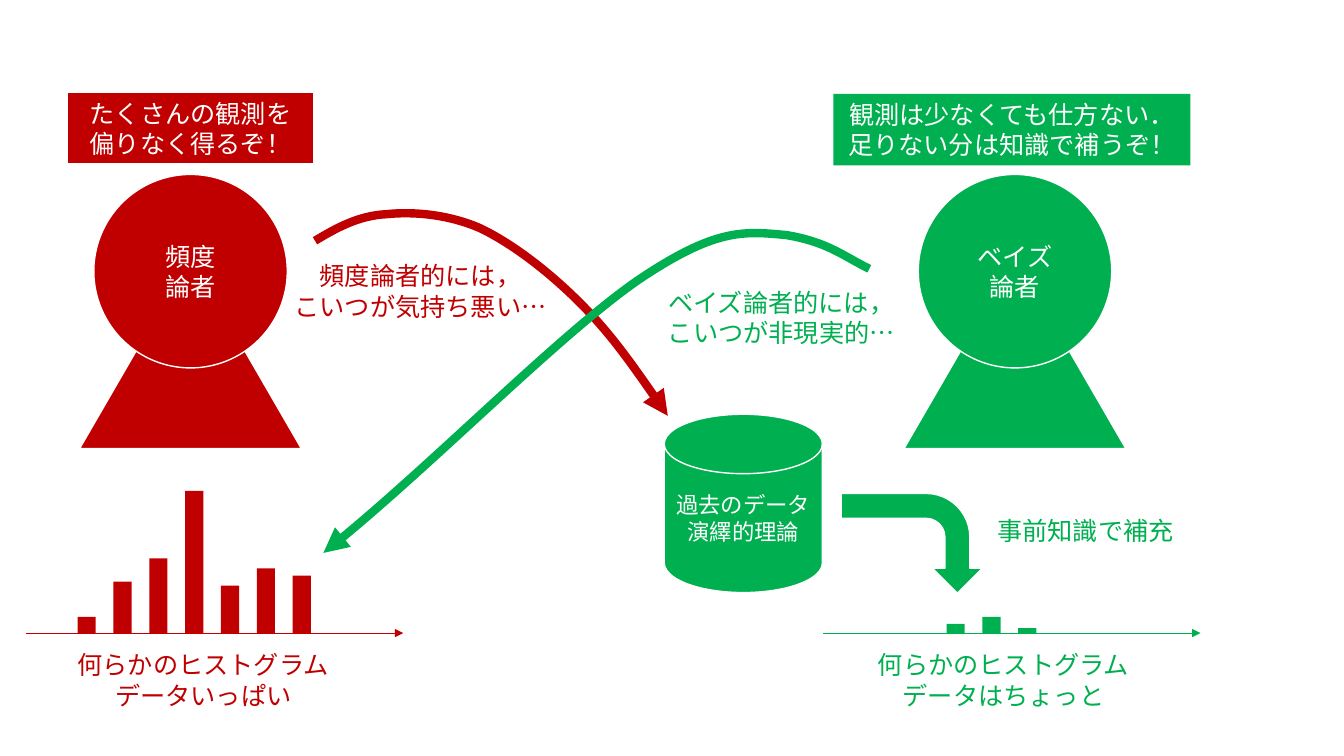
from pptx import Presentation
from pptx.dml.color import RGBColor
from pptx.enum.shapes import MSO_CONNECTOR, MSO_SHAPE as SHAPE
from pptx.enum.text import MSO_ANCHOR, PP_ALIGN
from pptx.oxml.ns import qn
from pptx.util import Pt
from lxml.etree import SubElement

FONT = "Noto Sans CJK JP"
RED, GREEN, WHITE = "C00000", "00B050", "FFFFFF"


def rgb(color):
    """Turn a hex string into a colour."""
    return RGBColor.from_string(color)


def write(shape, text, color, size=18):
    """Put centred lines of text in a shape."""
    tf = shape.text_frame
    tf.text = text
    tf.word_wrap = True
    tf.vertical_anchor = MSO_ANCHOR.MIDDLE
    for p in tf.paragraphs:
        p.alignment = PP_ALIGN.CENTER
        for r in p.runs:
            r.font.name, r.font.size = FONT, Pt(size)
            r.font.color.rgb = rgb(color)
            SubElement(r.font._element, qn("a:ea"), typeface=FONT)


def solid(shapes, kind, box, color, line=None):
    """Add a filled preset shape, outlined when a line colour is given."""
    sp = shapes.add_shape(kind, *map(Pt, box))
    sp.shadow.inherit = False
    sp.fill.solid()
    sp.fill.fore_color.rgb = rgb(color)
    if line:
        sp.line.color.rgb, sp.line.width = rgb(line), Pt(1)
    else:
        sp.line.fill.background()
    return sp


def label(s, box, text, color):
    """Add a text box."""
    write(s.shapes.add_textbox(*map(Pt, box)), text, color)


def arrow_line(shape, color, width):
    """Style a line with an arrowhead at its end and no shadow."""
    shape.line.color.rgb, shape.line.width = rgb(color), Pt(width)
    SubElement(shape.line._get_or_add_ln(), qn("a:tailEnd"), type="triangle")
    SubElement(shape._element.spPr, qn("a:effectLst"))


def person(s, box, name, color):
    """Draw a round head over a triangular body."""
    x, y, w, h = box
    head, body = 138.2, 136.8
    group = s.shapes.add_group_shape()
    solid(group.shapes, SHAPE.ISOSCELES_TRIANGLE, (x, y + h - body, w, body), color, WHITE)
    sp = solid(group.shapes, SHAPE.OVAL, (x + (w - head) / 2, y, head, head), color, WHITE)
    write(sp, name, WHITE)


def histogram(s, box, heights, caption, indent, color):
    """Draw bars standing on an arrow axis, with a caption below."""
    x, y, w, h = box
    base = y + h
    axis = s.shapes.add_connector(MSO_CONNECTOR.STRAIGHT, *map(Pt, (x, base, x + w, base)))
    arrow_line(axis, color, 0.5)
    for i, height in enumerate(heights):
        if height:
            bar = (x + 36.7 + 25.6 * i, base - height, 13, height)
            solid(s.shapes, SHAPE.RECTANGLE, bar, color)
    label(s, (x + indent, base + 7.9, 202.3, 51.1), caption, color)


def curve(s, points, color):
    """Draw a thick cubic curve with an arrowhead from its control points."""
    builder = s.shapes.build_freeform(*points[0], scale=Pt(1))
    builder.add_line_segments(points[1:], close=False)
    sp = builder.convert_to_shape()
    sp.fill.background()
    path = next(sp._element.iter(qn("a:path")))
    steps = path.findall(qn("a:lnTo"))
    for i in range(0, len(steps), 3):
        bezier = SubElement(path, qn("a:cubicBezTo"))
        for step in steps[i:i + 3]:
            bezier.append(step[0])
            path.remove(step)
    arrow_line(sp, color, 6)


def prior_knowledge(s, box):
    """Draw the data store and the bent arrow feeding the small histogram."""
    x, y, w, h = box
    disk = solid(s.shapes, SHAPE.FLOWCHART_MAGNETIC_DISK, (x, y, 113, h), GREEN, WHITE)
    write(disk, "過去のデータ\n演繹的理論", WHITE, 16)
    bent = solid(s.shapes, SHAPE.BENT_ARROW, (x + 141.1, y + 41.8, 71.3, 100.8), GREEN, WHITE)
    bent.rotation = 90
    label(s, (x + w - 149.8, y + 68.4, 149.8, 29), "事前知識で補充", GREEN)


def comparison(prs):
    """Build the slide that sets frequentists against Bayesians."""
    s = prs.slides.add_slide(prs.slide_layouts[6])
    person(s, (56.9, 124.6, 158.4, 195.8), "頻度\n論者", RED)
    person(s, (645.8, 124.6, 158.4, 195.8), "ベイズ\n論者", GREEN)
    histogram(s, (18.7, 350.7, 269.3, 101.5), (11.5, 36.7, 53.3, 101.5, 33.8, 46.1, 41),
              "何らかのヒストグラム\nデータいっぱい", 25.3, RED)
    histogram(s, (588.2, 350.7, 269.3, 101.5), (0, 0, 6.5, 11.5, 3.6),
              "何らかのヒストグラム\nデータはちょっと", 27.4, GREEN)
    claim = solid(s.shapes, SHAPE.RECTANGLE, (48.2, 66.2, 175.7, 51.1), RED, WHITE)
    write(claim, "たくさんの観測を\n偏りなく得るぞ！", WHITE)
    claim = solid(s.shapes, SHAPE.RECTANGLE, (595.4, 67, 254.9, 51.1), GREEN)
    write(claim, "観測は少なくても仕方ない．\n足りない分は知識で補うぞ！", WHITE)
    prior_knowledge(s, (474.5, 295.9, 375.8, 127.4))
    label(s, (200.2, 182.2, 200.2, 51.1), "頻度論者的には，\nこいつが気持ち悪い…", RED)
    curve(s, [(224.6, 172.1), (240.5, 163.4), (255.6, 154.1), (275.8, 152.6),
              (295.2, 151.2), (320.4, 152.6), (343.4, 163.4),
              (366.5, 173.5), (391.7, 193.7), (414, 216),
              (436.3, 238.3), (457.2, 267.8), (477.4, 296.6)], RED)
    curve(s, [(621.4, 192.2), (604.1, 183.6), (591.8, 172.8), (561.6, 168.5),
              (531.4, 164.9), (511.2, 162.7), (455.8, 200.2),
              (401, 237.6), (303.1, 338.4), (231.1, 395.3)], GREEN)
    label(s, (457.9, 200.9, 200.2, 51.1), "ベイズ論者的には，\nこいつが非現実的…", GREEN)


prs = Presentation()
prs.slide_width, prs.slide_height = Pt(960), Pt(540)
comparison(prs)
prs.save("out.pptx")
